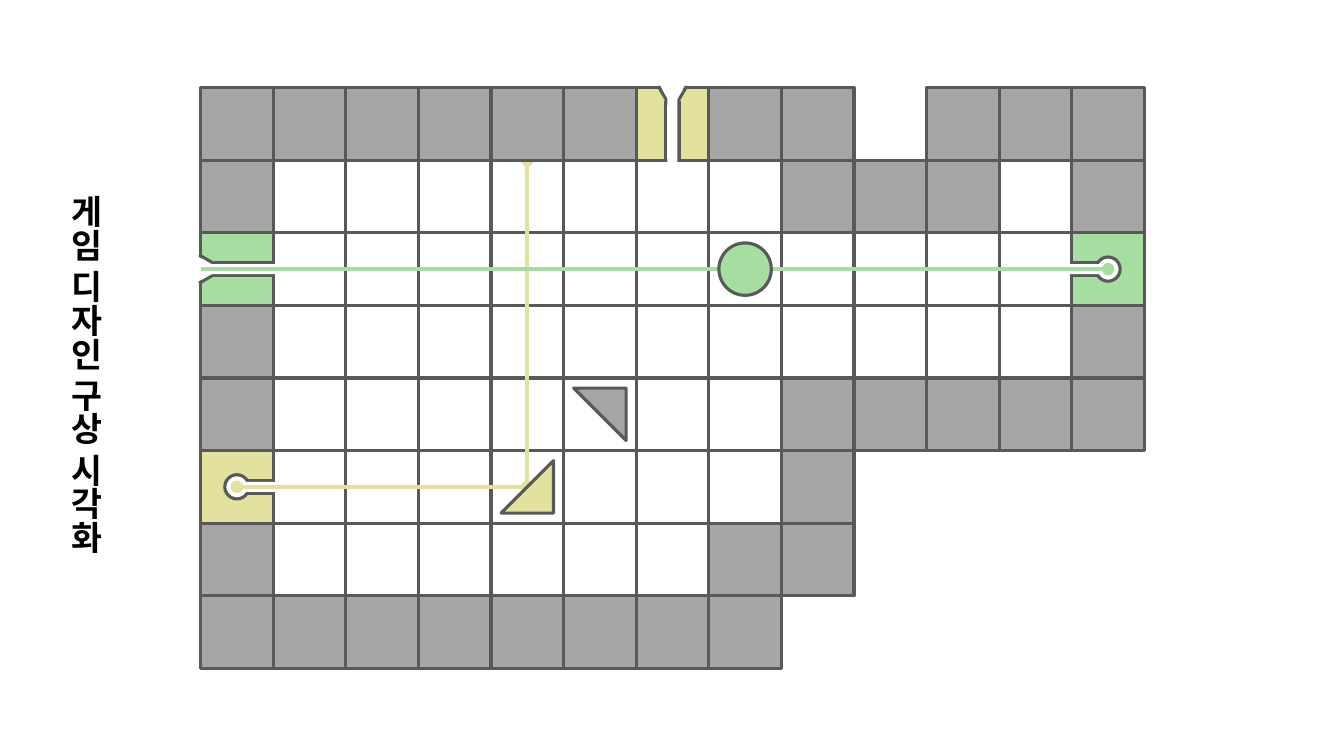
from dataclasses import dataclass

from lxml.etree import SubElement
from pptx import Presentation
from pptx.dml.color import RGBColor
from pptx.enum.shapes import MSO_CONNECTOR, MSO_SHAPE
from pptx.oxml.ns import qn
from pptx.util import Inches, Pt


@dataclass(frozen=True)
class Theme:
    """Colours, type and line sizes of the slide."""
    wall: str = "A6A6A6"
    outline: str = "595959"
    yellow: str = "E2E29E"
    green: str = "A6DEA2"
    opening: str = "FFFFFF"
    ink: str = "000000"
    font: str = "Noto Sans CJK KR"
    title_size: int = 24
    outline_width: float = 2.25
    beam_width: int = 3


THEME = Theme()
CELL = 0.72
LEFT, TOP = 1.99, 0.87
WALL, FLOOR = "#", "."
ROOM = (
    "###### ## ###",
    "#.......###.#",
    " ........... ",
    "#...........#",
    "#.......#####",
    " .......#",
    "#......##",
    "########",
)


def centre(column, row):
    """Return the centre of a grid cell in inches."""
    return LEFT + (column + 0.5) * CELL, TOP + (row + 0.5) * CELL


def add_piece(slide, kind, middle, size, fill=None, outlined=True, rotation=0):
    """Add a preset shape around its centre point."""
    (x, y), (width, height) = middle, size
    piece = slide.shapes.add_shape(kind, Inches(x - width / 2), Inches(y - height / 2),
                                   Inches(width), Inches(height))
    piece.shadow.inherit = False
    piece.rotation = rotation
    if fill:
        piece.fill.solid()
        piece.fill.fore_color.rgb = RGBColor.from_string(fill)
    else:
        piece.fill.background()
    if outlined:
        piece.line.color.rgb = RGBColor.from_string(THEME.outline)
        piece.line.width = Pt(THEME.outline_width)
    else:
        piece.line.fill.background()
    return piece


def add_cell(slide, middle, fill=None):
    """Add one square of the room."""
    add_piece(slide, MSO_SHAPE.RECTANGLE, middle, (CELL, CELL), fill)


def add_tiles(slide, symbol, fill=None):
    """Add every square that the room plan marks with the symbol."""
    for row, squares in enumerate(ROOM):
        for column, square in enumerate(squares):
            if square == symbol:
                add_cell(slide, centre(column, row), fill)


def add_socket(slide, middle, color, side):
    """Add a beam source whose slot opens to the right (1) or left (-1)."""
    x, y = middle
    add_cell(slide, middle, color)
    add_piece(slide, MSO_SHAPE.RECTANGLE, (x + side * 0.22, y), (0.28, 0.13), THEME.opening)
    add_piece(slide, MSO_SHAPE.OVAL, middle, (0.24, 0.24), THEME.opening)
    add_piece(slide, MSO_SHAPE.RECTANGLE, (x + side * 0.23, y), (0.3, 0.1),
              THEME.opening, outlined=False)


def add_gate(slide, middle, color, inward, rotation):
    """Add a split gate with a flared mouth on its outer edge."""
    x, y = middle
    dx, dy = inward

    def along(offset):
        """Return a point on the passage axis."""
        return x + dx * offset, y + dy * offset

    def passage(offset, length, width, outlined):
        """Add a strip of the passage."""
        size = (length, width) if dx else (width, length)
        add_piece(slide, MSO_SHAPE.RECTANGLE, along(offset), size, THEME.opening, outlined)

    def mouth(offset, size, outlined):
        """Add a triangle that points inward."""
        add_piece(slide, MSO_SHAPE.ISOSCELES_TRIANGLE, along(offset), size,
                  THEME.opening, outlined, rotation)

    add_cell(slide, middle, color)
    passage(0.07, 0.58, 0.13, True)
    mouth(-0.25, (0.27, 0.23), True)
    passage(0.05, 0.68, 0.1, False)
    mouth(-0.29, (0.28, 0.25), False)


def add_beam(slide, start, end, color, ends):
    """Add a light beam with round dots at the named line ends."""
    beam = slide.shapes.add_connector(MSO_CONNECTOR.STRAIGHT,
                                      *(Inches(value) for value in (*start, *end)))
    beam.line.color.rgb = RGBColor.from_string(color)
    beam.line.width = Pt(THEME.beam_width)
    properties = beam.line._get_or_add_ln()
    for name in ends:
        SubElement(properties, qn(f"a:{name}"), type="oval")
    SubElement(beam._element.spPr, qn("a:effectLst"))


def add_mirror(slide, middle, color, rotation):
    """Add a triangular mirror."""
    mirror = add_piece(slide, MSO_SHAPE.DIAGONAL_STRIPE, middle, (0.52, 0.52),
                       color, rotation=rotation)
    mirror.adjustments[0] = 0


def add_title(slide, text):
    """Add the vertical title."""
    title = slide.shapes.add_textbox(Inches(0.49), Inches(1.84), Inches(0.61), Inches(4.03))
    frame = title.text_frame
    frame.text = text
    frame.word_wrap = False
    frame._txBody.bodyPr.set("vert", "eaVert")
    run = frame.paragraphs[0].runs[0]
    run.font.name = THEME.font
    run.font.size = Pt(THEME.title_size)
    run.font.bold = True
    run.font.color.rgb = RGBColor.from_string(THEME.ink)
    SubElement(run._r.get_or_add_rPr(), qn("a:ea"), typeface=THEME.font)


def main():
    """Build and save the game design slide."""
    deck = Presentation()
    deck.slide_width, deck.slide_height = Inches(13.33), Inches(7.5)
    slide = deck.slides.add_slide(deck.slide_layouts[6])
    yellow_source, yellow_turn = centre(0, 5), centre(4, 5)
    green_gate, green_source = centre(0, 2), centre(12, 2)

    add_title(slide, "게임 디자인 구상 시각화")
    add_tiles(slide, FLOOR)
    add_socket(slide, yellow_source, THEME.yellow, 1)
    add_socket(slide, green_source, THEME.green, -1)
    add_gate(slide, centre(6, 0), THEME.yellow, (0, 1), 180)
    add_gate(slide, green_gate, THEME.green, (1, 0), 90)

    both_ends = ("headEnd", "tailEnd")
    add_beam(slide, yellow_source, yellow_turn, THEME.yellow, both_ends)
    add_beam(slide, yellow_turn, (yellow_turn[0], TOP + CELL), THEME.yellow, both_ends)
    add_beam(slide, green_source, (LEFT, green_gate[1]), THEME.green, ("headEnd",))

    add_tiles(slide, WALL, THEME.wall)
    add_mirror(slide, centre(5, 4), THEME.wall, 90)
    add_mirror(slide, yellow_turn, THEME.yellow, 180)
    add_piece(slide, MSO_SHAPE.OVAL, centre(7, 2), (0.52, 0.52), THEME.green)
    deck.save("out.pptx")


main()
